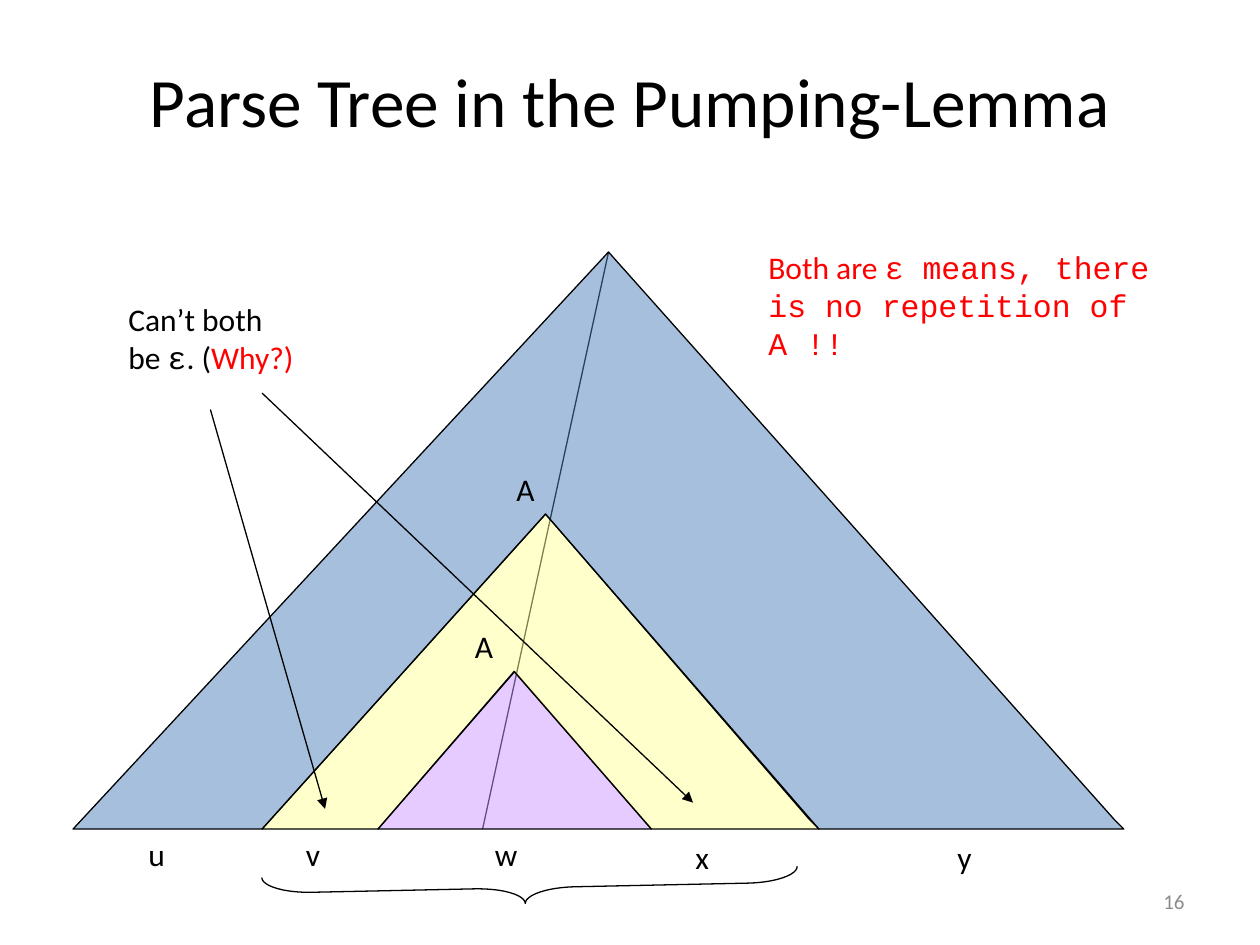
from lxml import etree
from pptx import Presentation, util as u
from pptx.dml.color import RGBColor
from pptx.enum import shapes, text
from pptx.oxml.ns import qn

COLORS = {"ink": "000000", "red": "FF0000", "gray": "8C8C8C",
          "outer": "4F81BD", "middle": "FFFF99", "inner": "CC99FF"}
BODY, MONO = "Calibri", "Courier New"
BASE = 6.58


def rgb(name):
    """Return the named colour."""
    return RGBColor.from_string(COLORS[name])


def add_text(page, box, lines, size=18, align=text.PP_ALIGN.LEFT,
             anchor=text.MSO_ANCHOR.TOP, wrap=False):
    """Write lines of (wording, font, colour) runs into a text box."""
    frame = page.shapes.add_textbox(*map(u.Inches, box)).text_frame
    frame.word_wrap = wrap
    frame.vertical_anchor = anchor
    for index, runs in enumerate(lines):
        para = frame.add_paragraph() if index else frame.paragraphs[0]
        para.alignment = align
        for wording, font, color in runs:
            span = para.add_run()
            span.text = wording
            span.font.name, span.font.size = font, u.Pt(size)
            span.font.color.rgb = rgb(color)


def outline(shape):
    """Give a shape or connector the thin black line."""
    shape.line.color.rgb = rgb("ink")
    shape.line.width = u.Pt(0.75)


def fill_tree(shape, color):
    """Fill a subtree half transparently and outline it."""
    shape.shadow.inherit = False
    shape.fill.solid()
    shape.fill.fore_color.rgb = rgb(color)
    tint = shape.fill._xPr.find(qn("a:solidFill"))[0]
    etree.SubElement(tint, qn("a:alpha"), val="50000")
    outline(shape)


def add_line(page, start, end, arrow=False):
    """Draw a straight line, with an arrowhead at its end if asked."""
    line = page.shapes.add_connector(
        shapes.MSO_CONNECTOR.STRAIGHT, *map(u.Inches, start + end))
    outline(line)
    if arrow:
        etree.SubElement(line.line._get_or_add_ln(), qn("a:tailEnd"), type="triangle")
    etree.SubElement(line._element.spPr, qn("a:effectLst"))


def add_subtree(page, points, color):
    """Draw a closed subtree outline through the points."""
    corners = [(u.Inches(x), u.Inches(y)) for x, y in points]
    builder = page.shapes.build_freeform(*corners[0])
    builder.add_line_segments(corners[1:], close=True)
    fill_tree(builder.convert_to_shape(), color)


def add_brace(page, box):
    """Draw the brace that spans v, w and x."""
    brace = page.shapes.add_shape(shapes.MSO_SHAPE.LEFT_BRACE, *map(u.Inches, box))
    brace.rotation = 268.8
    brace.adjustments[0], brace.adjustments[1] = 1.594, 0.491
    brace.shadow.inherit = False
    brace.fill.background()
    outline(brace)


def add_parse_tree(page, box):
    """Draw the nested parse trees inside the box, with their labels."""
    left, top, width, height = box
    right, base = left + width, top + height
    root = (4.83, top)
    add_line(page, root, (3.83, base))
    add_brace(page, (4.08, 4.92, 0.25, 4.25))
    inner = page.shapes.add_shape(
        shapes.MSO_SHAPE.ISOSCELES_TRIANGLE, *map(u.Inches, (3, 5.33, 2.17, 1.25)))
    fill_tree(inner, "inner")
    add_subtree(page, [(3, base), (2.08, base), (4.33, 4.08), (6.42, 6.5),
                       (6.5, base), (5.17, base), (4.08, 5.33)], "middle")
    add_subtree(page, [(2.08, base), (left, base), root, (right - 0.08, 6.5),
                       (right, base), (6.5, base), (4.33, 4.08)], "outer")
    labels = [("A", 4, 3.68, 0.4), ("A", 3.67, 4.93, 0.4),
              ("u", 1.08, base, 0.39), ("v", 2.33, base, 0.37),
              ("w", 3.83, base, 0.45), ("x", 5.42, 6.6, 0.37),
              ("y", 7.5, 6.6, 0.37)]
    for label, x, y, label_width in labels:
        add_text(page, (x, y, label_width, 0.5), [[(label, BODY, "ink")]])


def add_question(page, box):
    """Place the question with its arrows to v and x."""
    add_text(page, box, [
        [("Can’t both", BODY, "ink")],
        [("be ", BODY, "ink"), ("ε", MONO, "ink"), (". (", BODY, "ink"),
         ("Why?)", BODY, "red")]])
    left, top = box[:2]
    add_line(page, (left + 0.75, top + 0.92), (2.58, 6.42), arrow=True)
    add_line(page, (left + 1.16, top + 0.79), (5.5, 6.37), arrow=True)


def add_answer(page, box):
    """Place the red answer."""
    add_text(page, box, [[
        ("Both are ", BODY, "red"),
        ("ε means, there is no repetition of A !!", MONO, "red")]], wrap=True)


def main():
    """Build the slide and save it."""
    deck = Presentation()
    deck.slide_width, deck.slide_height = u.Inches(10), u.Inches(7.5)
    page = deck.slides.add_slide(deck.slide_layouts[6])
    middle = text.MSO_ANCHOR.MIDDLE
    add_text(page, (7.17, 6.95, 2.33, 0.4), [[("16", BODY, "gray")]], 12,
             text.PP_ALIGN.RIGHT, middle, True)
    add_text(page, (0.75, 0.17, 8.5, 1.25),
             [[("Parse Tree in the Pumping-Lemma", BODY, "ink")]], 39.6,
             text.PP_ALIGN.CENTER, middle, True)
    add_parse_tree(page, (0.58, 2, 8.34, BASE - 2))
    add_question(page, (0.92, 2.33, 1.51, 0.71))
    add_answer(page, (6, 1.92, 3.33, 0.71))
    deck.save("out.pptx")


if __name__ == "__main__":
    main()
